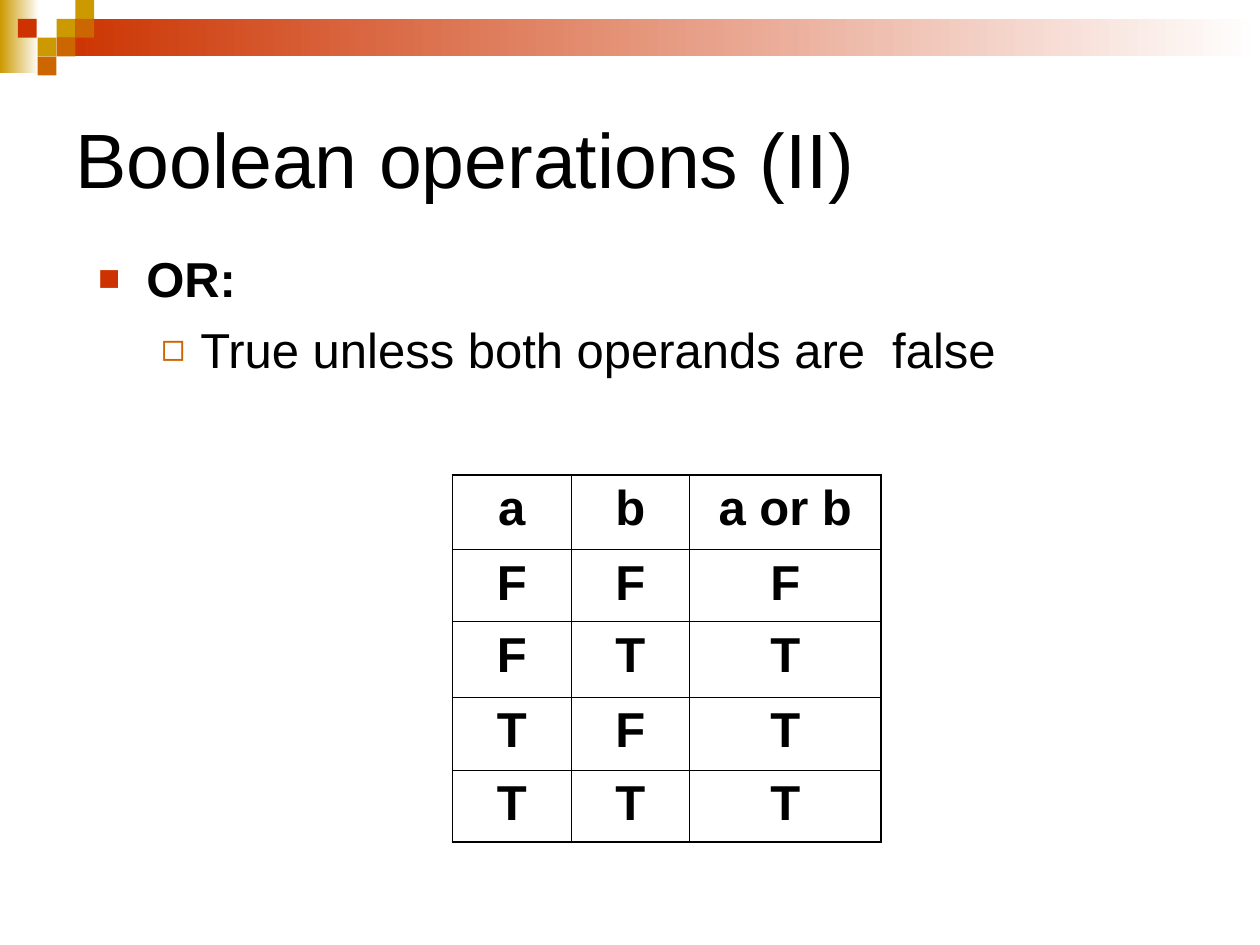
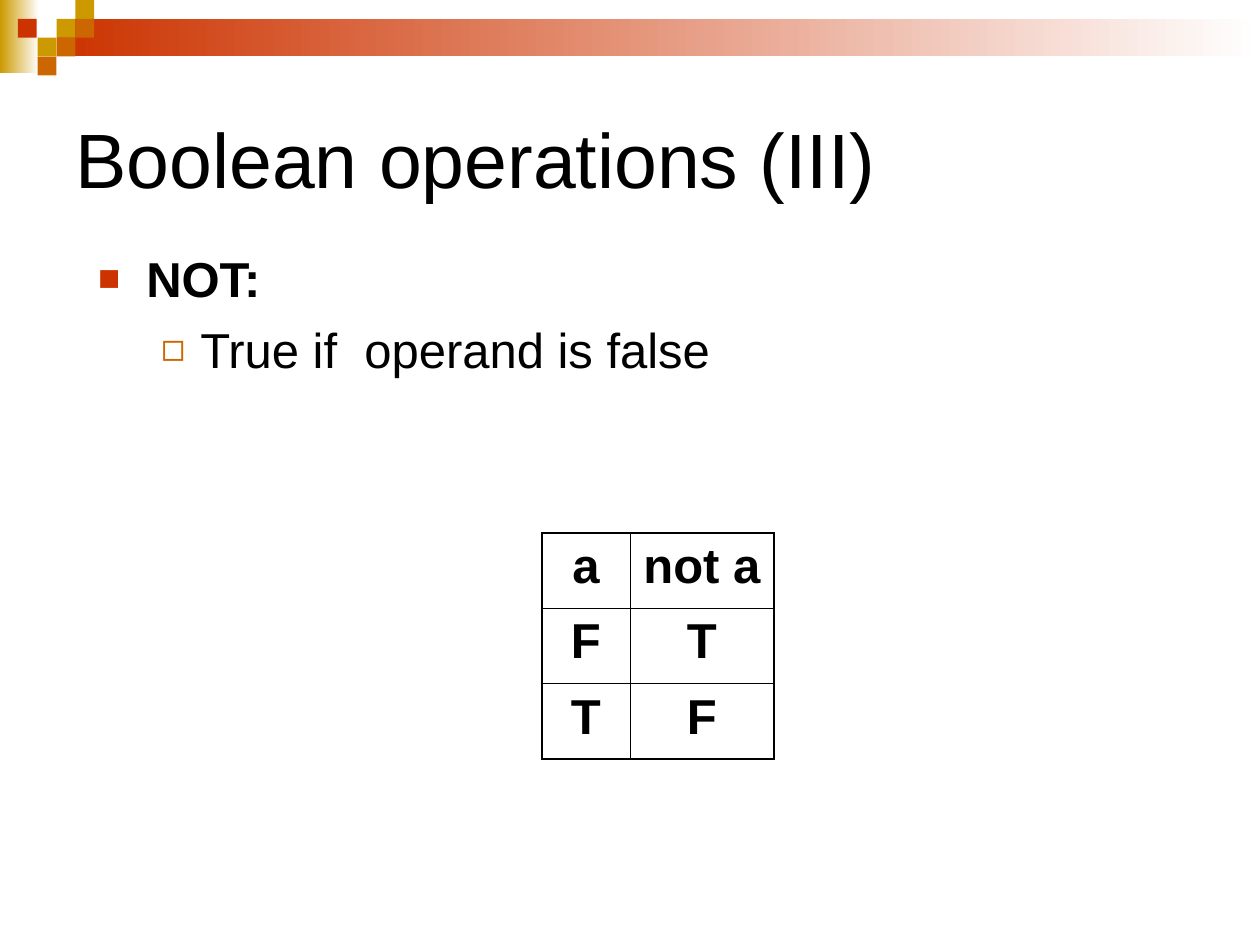
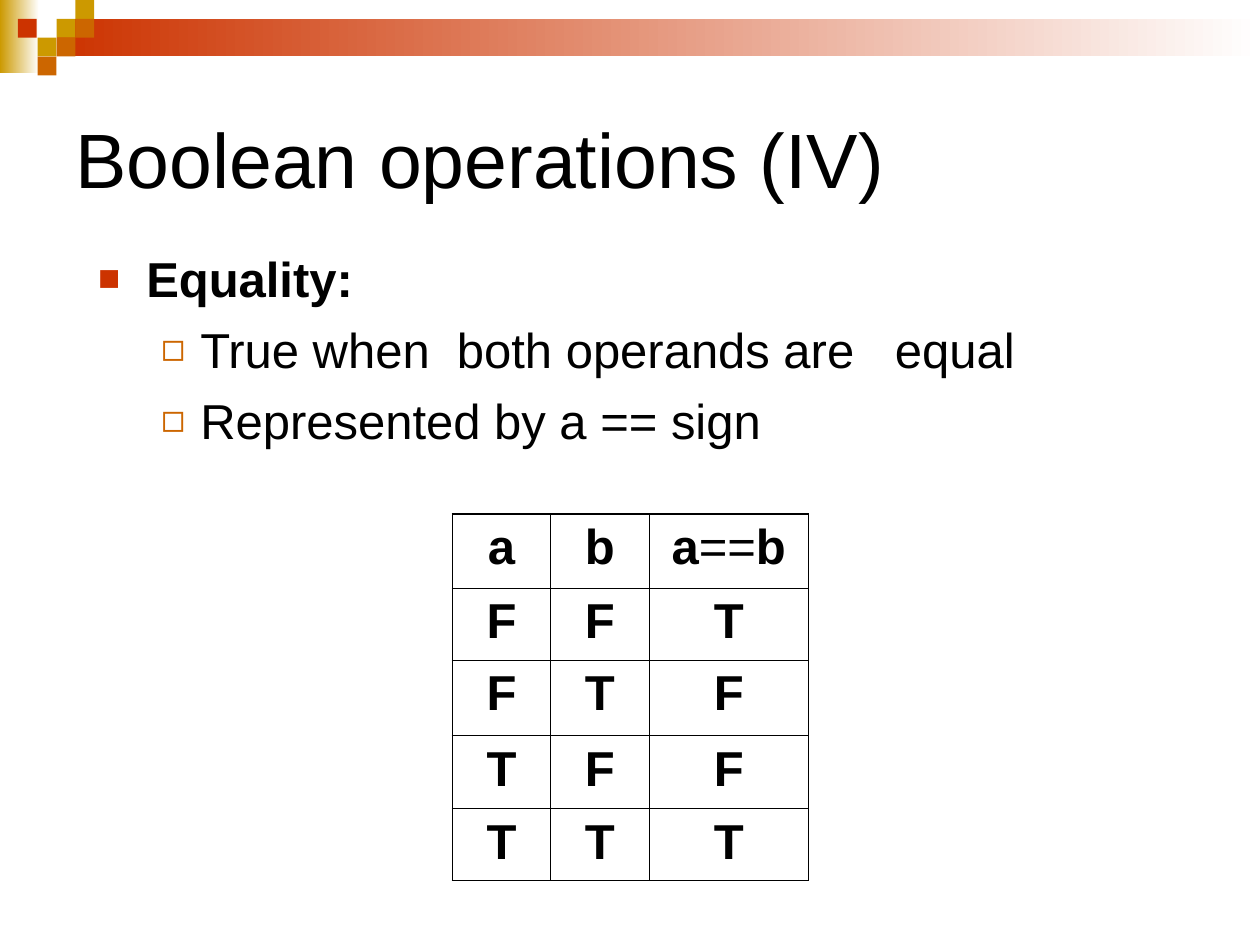
"""Build three slides on the Boolean operations OR, NOT and equality."""
from dataclasses import dataclass

from lxml.etree import SubElement
from pptx import Presentation
from pptx.dml.color import RGBColor as RGB
from pptx.enum.shapes import MSO_SHAPE as Preset
from pptx.enum.text import MSO_ANCHOR as Anchor, PP_ALIGN as Align
from pptx.oxml import parse_xml
from pptx.oxml.ns import nsdecls, qn
from pptx.util import Cm, Pt


@dataclass(frozen=True)
class Theme:
    red: str = "CC3300"
    orange: str = "CC6600"
    gold: str = "CC9900"
    white: str = "FFFFFF"
    ink: str = "000000"
    font: str = "Arial"
    title_size: float = 44
    body_size: float = 28
    space_before: float = 7
    outer_border: float = 1.08
    inner_border: float = 0.45
    square: float = 0.38


THEME = Theme()
TITLE = {"name": THEME.font, "size": Pt(THEME.title_size), "bold": False}
PLAIN = {"name": THEME.font, "size": Pt(THEME.body_size), "bold": False}
STRONG = PLAIN | {"bold": True}

GRADIENT_BANDS = [
    (0, 0, 0.79, 1.47, THEME.gold),
    (1.14, 0.38, 24.26, 0.76, THEME.red),
]
SQUARES = [
    (3, 1, THEME.gold),
    (4, 0, THEME.gold),
    (4, 1, THEME.orange),
    (2, 2, THEME.gold),
    (0.95, 1, THEME.red),
    (3, 2, THEME.orange),
    (2, 3, THEME.orange),
]
BULLETS = [
    {"char": "■", "color": THEME.red, "percent": 75, "left": 0.97, "hang": 0.97, "text": STRONG},
    {"char": "◻", "color": THEME.orange, "percent": 80, "left": 2.06, "hang": 0.79, "text": PLAIN},
]
FIVE_ROWS = [1.5, 1.45, 1.52, 1.47, 1.45]

OPERATIONS = [
    {
        "title": "Boolean operations (II)",
        "points": [(0, "OR:"), (1, "True unless both operands are  false")],
        "header": [["a"], ["b"], ["a or b"]],
        "truth": ["FFF", "FTT", "TFT", "TTT"],
        "corner": (9.12, 9.58),
        "columns": [2.39, 2.39, 3.86],
        "rows": FIVE_ROWS,
    },
    {
        "title": "Boolean operations (III)",
        "points": [(0, "NOT:"), (1, "True if  operand is false")],
        "header": [["a"], ["not a"]],
        "truth": ["FT", "TF"],
        "corner": (10.92, 10.74),
        "columns": [1.78, 2.9],
        "rows": [1.52] * 3,
    },
    {
        "title": "Boolean operations (IV)",
        "points": [
            (0, "Equality:"),
            (1, "True when  both operands are   equal"),
            (1, "Represented by a == sign"),
        ],
        "header": [["a"], ["b"], ["a", "==", "b"]],
        "truth": ["FFT", "FTF", "TFF", "TTT"],
        "corner": (9.12, 10.36),
        "columns": [1.98, 1.98, 3.22],
        "rows": FIVE_ROWS,
    },
]


def write(paragraph, text, look):
    run = paragraph.add_run()
    run.text = text
    for key, value in look.items():
        setattr(run.font, key, value)
    run.font.color.rgb = RGB.from_string(THEME.ink)


def add_block(shapes, left, top, width, height):
    block = shapes.add_shape(Preset.RECTANGLE, Cm(left), Cm(top), Cm(width), Cm(height))
    block.shadow.inherit = False
    block.line.fill.background()
    return block


deck = Presentation()
deck.slide_width, deck.slide_height = Cm(25.4), Cm(19.05)

for operation in OPERATIONS:
    slide = deck.slides.add_slide(deck.slide_layouts[6])

    for left, top, width, height, color in GRADIENT_BANDS:
        fill = add_block(slide.shapes, left, top, width, height).fill
        fill.gradient()
        fill.gradient_angle = 0
        for stop, shade in zip(fill.gradient_stops, (color, THEME.white)):
            stop.color.rgb = RGB.from_string(shade)

    side = THEME.square
    for column, row, color in SQUARES:
        fill = add_block(slide.shapes, column * side, row * side, side, side).fill
        fill.solid()
        fill.fore_color.rgb = RGB.from_string(color)

    heading = slide.shapes.add_textbox(Cm(1.27), Cm(1.27), Cm(22.86), Cm(3.81)).text_frame
    heading.word_wrap = True
    heading.vertical_anchor = Anchor.MIDDLE
    write(heading.paragraphs[0], operation["title"], TITLE)

    body = slide.shapes.add_textbox(Cm(1.73), Cm(4.88), Cm(21.97), Cm(4.65)).text_frame
    body.word_wrap = True
    for index, (level, text) in enumerate(operation["points"]):
        point = body.add_paragraph() if index else body.paragraphs[0]
        bullet = BULLETS[level]
        point.level = level
        if index:
            point.space_before = Pt(THEME.space_before)
        properties = point._p.get_or_add_pPr()
        properties.set("marL", str(Cm(bullet["left"])))
        properties.set("indent", str(-Cm(bullet["hang"])))
        bullet_color = SubElement(properties, qn("a:buClr"))
        SubElement(bullet_color, qn("a:srgbClr"), val=bullet["color"])
        SubElement(properties, qn("a:buSzPct"), val=str(bullet["percent"] * 1000))
        SubElement(properties, qn("a:buFont"), typeface=THEME.font)
        SubElement(properties, qn("a:buChar"), char=bullet["char"])
        write(point, text, bullet["text"])

    widths, heights = operation["columns"], operation["rows"]
    left, top = operation["corner"]
    truth_table = slide.shapes.add_table(
        len(heights), len(widths), Cm(left), Cm(top), Cm(sum(widths)), Cm(sum(heights))
    ).table
    truth_table.first_row = truth_table.horz_banding = False
    for column, width in zip(truth_table.columns, widths):
        column.width = Cm(width)
    for row, height in zip(truth_table.rows, heights):
        row.height = Cm(height)

    for r, values in enumerate([operation["header"], *operation["truth"]]):
        for c, parts in enumerate(values):
            cell = truth_table.cell(r, c)
            cell.fill.background()
            paragraph = cell.text_frame.paragraphs[0]
            paragraph.alignment = Align.CENTER
            for part in parts:
                write(paragraph, part, PLAIN if part == "==" else STRONG)
            outer_edges = {
                "L": c == 0,
                "R": c == len(widths) - 1,
                "T": r == 0,
                "B": r == len(heights) - 1,
            }
            for position, (edge, outer) in enumerate(outer_edges.items()):
                weight = Pt(THEME.outer_border if outer else THEME.inner_border)
                border = parse_xml(
                    f'<a:ln{edge} {nsdecls("a")} w="{weight}"><a:solidFill>'
                    f'<a:srgbClr val="{THEME.ink}"/></a:solidFill></a:ln{edge}>'
                )
                cell._tc.get_or_add_tcPr().insert(position, border)

deck.save("out.pptx")
